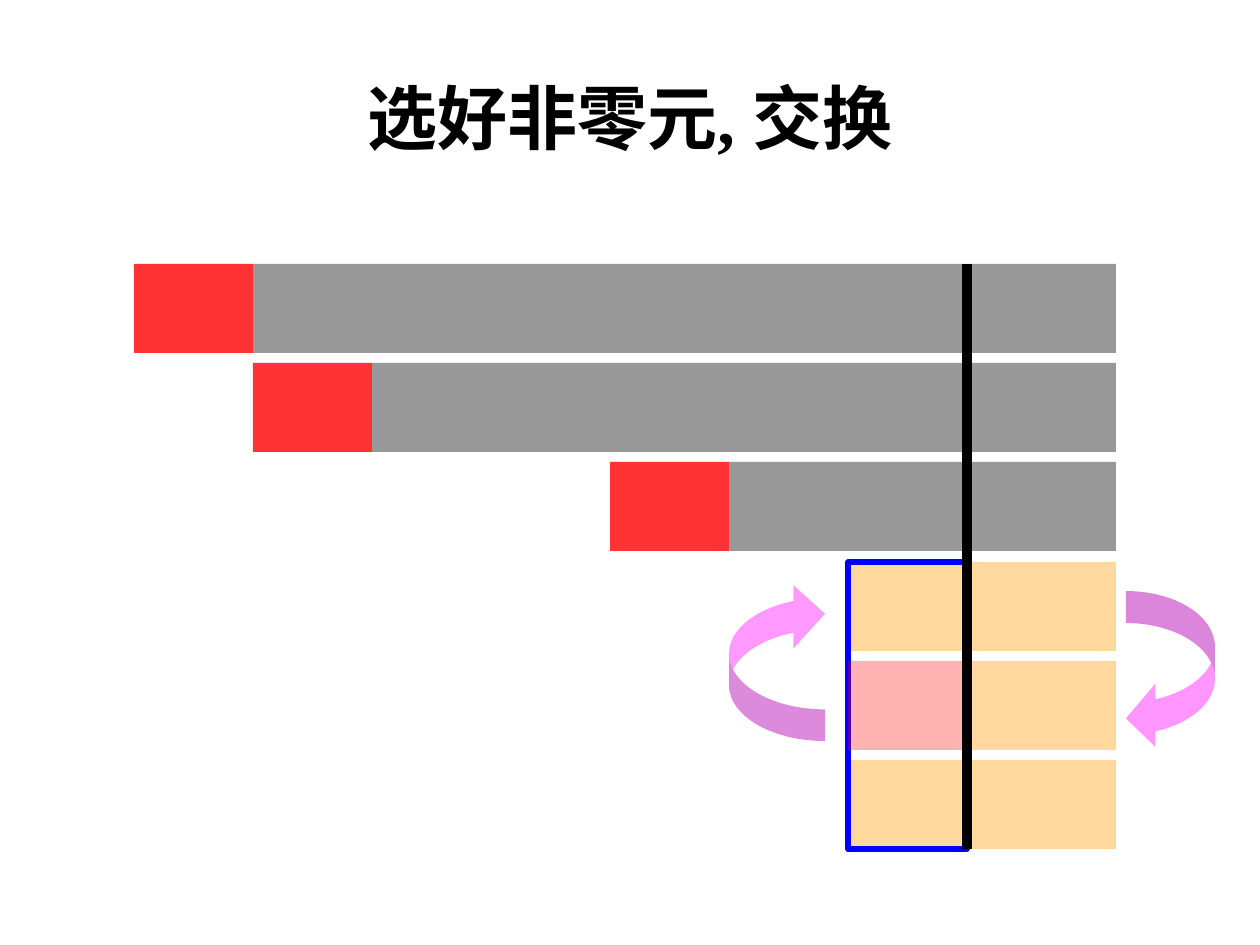
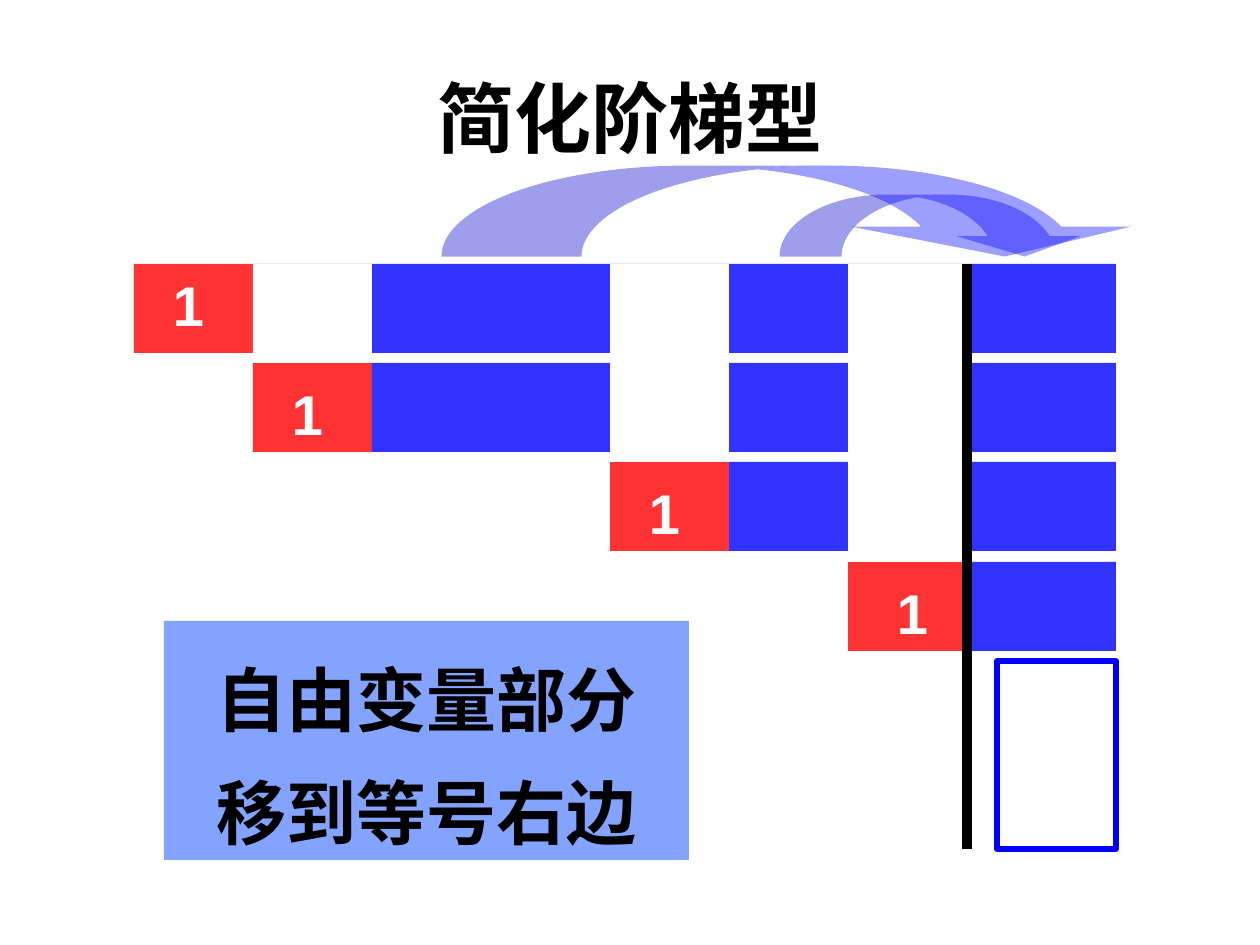
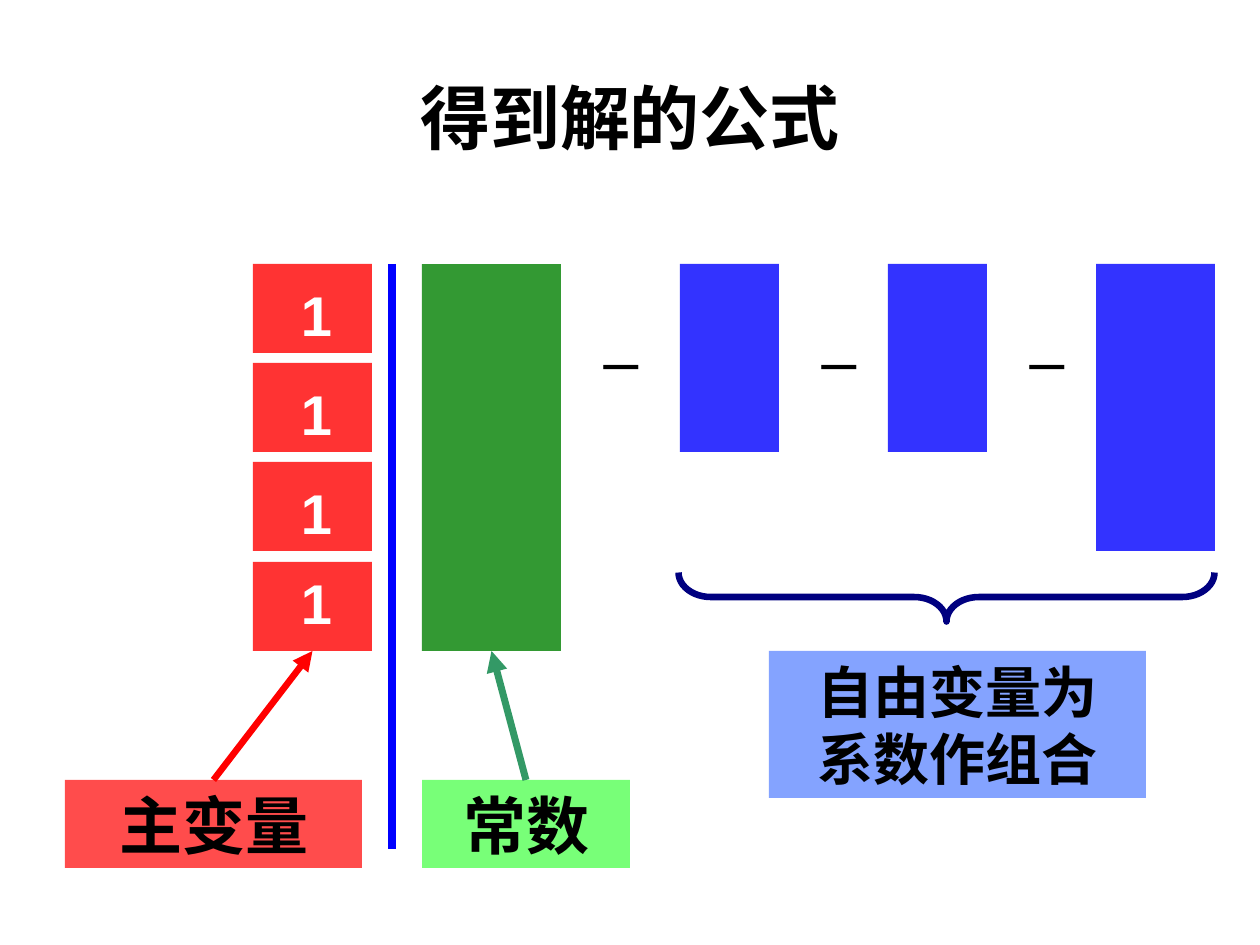
from lxml import etree
from pptx import Presentation
from pptx.dml.color import RGBColor
from pptx.enum.shapes import MSO_CONNECTOR, MSO_SHAPE
from pptx.enum.text import MSO_ANCHOR, PP_ALIGN
from pptx.oxml.ns import qn
from pptx.util import Emu, Pt

RECT = MSO_SHAPE.RECTANGLE
CURVED = MSO_SHAPE.CURVED_LEFT_ARROW
BRACE = MSO_SHAPE.LEFT_BRACE
STRAIGHT = MSO_CONNECTOR.STRAIGHT
TOP, MIDDLE = MSO_ANCHOR.TOP, MSO_ANCHOR.MIDDLE
CENTER = PP_ALIGN.CENTER
SIDE_TOP, SIDE_BOTTOM = 0, 2

BLACK = RGBColor(0x00, 0x00, 0x00)
WHITE = RGBColor(0xFF, 0xFF, 0xFF)
GRAY = RGBColor(0x80, 0x80, 0x80)
RED = RGBColor(0xFF, 0x00, 0x00)
ORANGE = RGBColor(0xFF, 0x99, 0x00)
PINK = RGBColor(0xFF, 0x66, 0xFF)
BLUE = RGBColor(0x00, 0x00, 0xFF)
SKY = RGBColor(0x33, 0x66, 0xFF)
NAVY = RGBColor(0x00, 0x00, 0x80)
GREEN = RGBColor(0x00, 0x80, 0x00)
LIME = RGBColor(0x00, 0xFF, 0x00)
TEAL = RGBColor(0x33, 0x99, 0x66)

ARIAL, TIMES, COMIC = "Arial", "Times New Roman", "Comic Neue"
TITLE = {"size": Pt(40), "name": TIMES, "bold": True}
ONE = {"size": Pt(32), "name": ARIAL, "bold": True}
MINUS = {"size": Pt(36), "name": ARIAL}
NOTE = {"size": Pt(40), "name": COMIC, "bold": True}
LABEL = {"size": Pt(36), "name": TIMES, "bold": True}
SMALL = {"size": Pt(32), "name": TIMES, "bold": True}

SCALE = 914400 / 126
MATRIX = (134, 264, 982, 585)
FORMULA = (253, 264, 963, 585)
COL_W, ROW_H = 119, 89
PIVOTS = [(0, 0), (1, 1), (4, 2), (6, 3)]


def px(v):
    return Emu(round(v * SCALE))


def col(c):
    return c * COL_W


def row(r):
    return round(r * 99.2)


def span(n):
    return row(n - 1) + ROW_H


def block(s, x, y, w, h, fill=None, alpha=100, line=None, line_w=3,
          kind=RECT, rot=0, adj=()):
    sp = s.shapes.add_shape(kind, px(x), px(y), px(w), px(h))
    sp.shadow.inherit = False
    sp.rotation = rot
    for i, value in enumerate(adj):
        sp.adjustments[i] = value
    if fill is None:
        sp.fill.background()
    else:
        sp.fill.solid()
        sp.fill.fore_color.rgb = fill
        if alpha < 100:
            clr = sp.fill._xPr.find(qn("a:solidFill"))[0]
            etree.SubElement(clr, qn("a:alpha"), val=str(alpha * 1000))
    if line is None:
        sp.line.fill.background()
    else:
        sp.line.color.rgb = line
        sp.line.width = Pt(line_w)
    return sp


def write(sp, lines, fmt, color=BLACK, anchor=TOP, wrap=True, spacing=None):
    tf = sp.text_frame
    tf.word_wrap = wrap
    tf.vertical_anchor = anchor
    for i, runs in enumerate(lines):
        p = tf.add_paragraph() if i else tf.paragraphs[0]
        p.alignment = CENTER
        p.line_spacing = spacing
        for text, extra in runs:
            r = p.add_run()
            r.text = text
            r.font.color.rgb = color
            for key, value in {**fmt, **extra}.items():
                setattr(r.font, key, value)
    return sp


def text(s, x, y, w, h, content, fmt, **options):
    sp = s.shapes.add_textbox(px(x), px(y), px(w), px(h))
    return write(sp, [[(content, {})]], fmt, **options)


def connector(s, x1, y1, x2, y2, color, width):
    cn = s.shapes.add_connector(STRAIGHT, px(x1), px(y1), px(x2), px(y2))
    cn.line.color.rgb = color
    cn.line.width = Pt(width)
    etree.SubElement(cn._element.spPr, qn("a:effectLst"))
    return cn


def arrow(s, start, end, color, width):
    cn = connector(s, 0, 0, 0, 0, color, width)
    cn.begin_connect(start, SIDE_TOP)
    cn.end_connect(end, SIDE_BOTTOM)
    etree.SubElement(cn.line._get_or_add_ln(), qn("a:tailEnd"), type="triangle")


def new_slide(prs, title, **fmt):
    s = prs.slides.add_slide(prs.slide_layouts[6])
    text(s, 63, 38, 1134, 157, title, {**TITLE, **fmt}, anchor=MIDDLE)
    return s


def bars(s, box, starts, fill, alpha, first=0):
    x, y, w, _ = box
    for r, c in enumerate(starts, first):
        block(s, x + col(c), y + row(r), w - col(c), ROW_H, fill, alpha)


def pivots(s, box, cells):
    x, y = box[:2]
    return [block(s, x + col(c), y + row(r), COL_W, ROW_H, RED, 80)
            for c, r in cells]


def one(s, x, y):
    text(s, x, y, 69, 79, "1", ONE, color=WHITE)


def equals_bar(s, box):
    x, y, _, h = box
    connector(s, x + col(7), y, x + col(7), y + h, BLACK, 5.5)


def swap_rows(s, box):
    x, y, w, _ = box
    bars(s, box, [1, 2, 5], GRAY, 80)
    bars(s, box, [6, 7, 6], ORANGE, 38, first=3)
    pivots(s, box, PIVOTS[:3])
    block(s, x + col(6), y + row(3), COL_W, span(3), line=BLUE)
    block(s, x + col(6), y + row(4), COL_W, ROW_H, RED, 30)
    block(s, x + col(5), y + 318, 96, 159, PINK, 67, kind=CURVED, rot=180,
          adj=(0.33, 0.66, 0.33))
    block(s, x + w + 10, y + 327, 89, 159, PINK, 69, kind=CURVED,
          adj=(0.36, 0.71, 0.33))
    equals_bar(s, box)


def reduced_echelon(s, box):
    x, y, w, _ = box
    bars(s, box, [1, 2, 5, 7], BLUE, 80)
    pivots(s, box, PIVOTS)
    block(s, x + w - COL_W, y + row(4), COL_W, span(2), line=BLUE)
    for c, r in PIVOTS[1:]:
        block(s, x + col(c), y, COL_W, row(r), WHITE)
    block(s, x + 768, y - 192, 62, 307, BLUE, 38, kind=CURVED, rot=270,
          adj=(1, 2, 0.33))
    block(s, x + 614, y - 405, 91, 704, BLUE, 38, kind=CURVED, rot=270,
          adj=(1.54, 3.09, 0.33))
    equals_bar(s, box)
    for (c, r), dx, dy in zip(PIVOTS, (20, 20, 20, 30), (0, 10, 10, 10)):
        one(s, x + col(c) + dx, y + row(r) + dy)
    note = block(s, x + 30, y + 357, 525, 239, SKY, 60)
    write(note, [[("自由变量部分", {})], [("移到等号右边", {})]], NOTE,
          spacing=1.35)


def solution_formula(s, box):
    x, y, w, h = box
    connector(s, x + 139, y, x + 139, y + h, BLUE, 4.5)
    cells = pivots(s, box, [(0, r) for r in range(4)])
    for r, dy in enumerate((10, 10, 10, 0)):
        one(s, x + 29, y + row(r) + dy)
    constants = block(s, x + 169, y, 139, span(4), GREEN, 80)
    for dx, width, n in ((427, 99, 2), (635, 99, 2), (843, COL_W, 3)):
        block(s, x + dx, y, width, span(n), BLUE, 80)
    for dx in (338, 556, 764):
        text(s, x + dx, y + 50, 60, 88, "–", MINUS, wrap=False)
    block(s, x + 669, y + 65, 49, 536, line=NAVY, line_w=3.75, kind=BRACE,
          rot=270, adj=(0.66, 0.5))
    combo = block(s, x + 516, y + 387, 377, 147, SKY, 60)
    write(combo, [[("自由变量为", {})],
                  [("系数作", {}), ("组合", {"name": COMIC})]], SMALL)
    for dx, width, fill, alpha, name, target, color, weight in (
            (-188, 297, RED, 70, "主变量", cells[-1], RED, 3.75),
            (169, 208, LIME, 53, "常数", constants, TEAL, 4)):
        label = block(s, x + dx, y + 516, width, 88, fill, alpha)
        write(label, [[(name, {})]], LABEL)
        arrow(s, label, target, color, weight)


def main():
    prs = Presentation()
    prs.slide_width, prs.slide_height = px(1260), px(945)
    swap_rows(new_slide(prs, "选好非零元, 交换"), MATRIX)
    reduced_echelon(new_slide(prs, "简化阶梯型", size=Pt(44), name=ARIAL), MATRIX)
    solution_formula(new_slide(prs, "得到解的公式"), FORMULA)
    prs.save("out.pptx")


if __name__ == "__main__":
    main()
